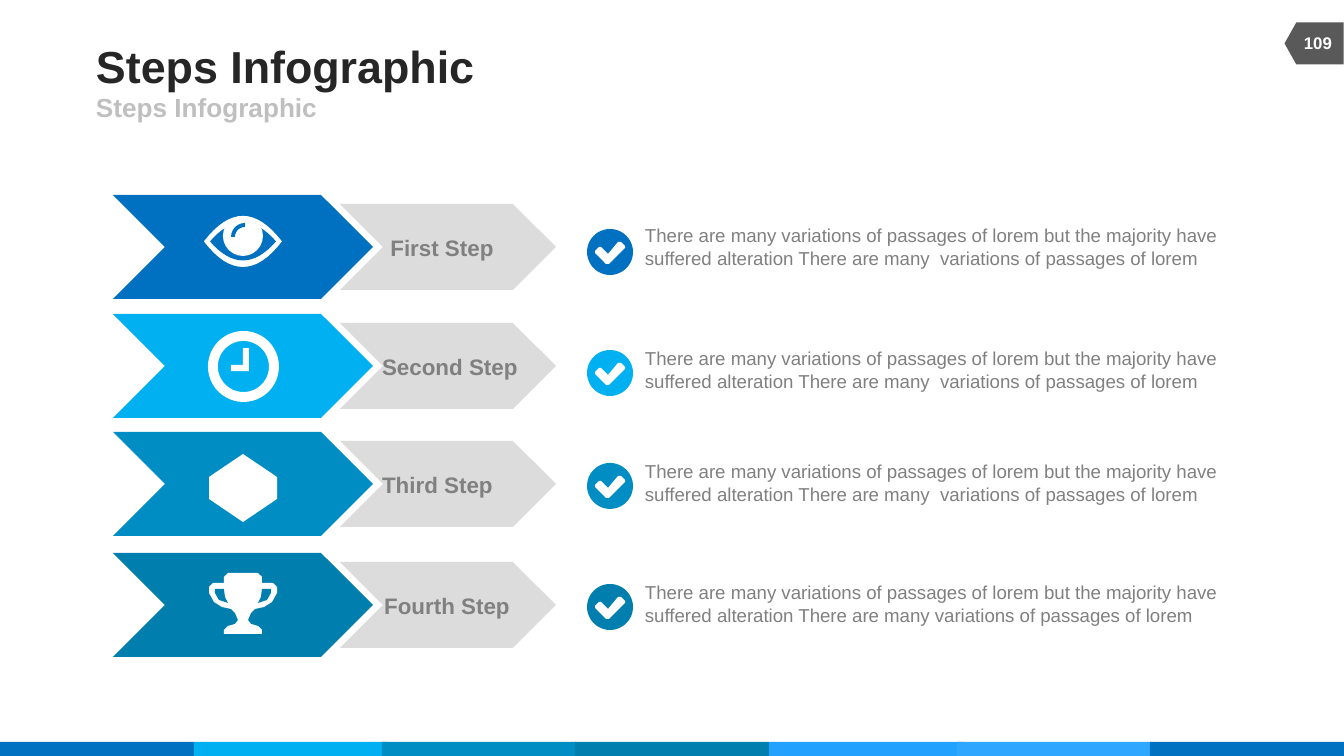
"""Build the Steps Infographic slide."""
from lxml import etree
from pptx import Presentation
from pptx.dml.color import RGBColor
from pptx.enum.shapes import MSO_SHAPE
from pptx.enum.text import MSO_ANCHOR, PP_ALIGN
from pptx.oxml.ns import qn
from pptx.util import Pt

PX = 914400 / 134.4
RECT, OVAL, DONUT = MSO_SHAPE.RECTANGLE, MSO_SHAPE.OVAL, MSO_SHAPE.DONUT
CHEVRON, ARC = MSO_SHAPE.CHEVRON, MSO_SHAPE.BLOCK_ARC
TAG = MSO_SHAPE.FLOWCHART_OFFPAGE_CONNECTOR
TOP, MIDDLE = MSO_ANCHOR.TOP, MSO_ANCHOR.MIDDLE
LEFT, CENTER = PP_ALIGN.LEFT, PP_ALIGN.CENTER

BLUE = RGBColor(0x00, 0x70, 0xC0)
SKY = RGBColor(0x00, 0xB0, 0xF0)
TEAL = RGBColor(0x00, 0x8D, 0xC3)
DEEP = RGBColor(0x00, 0x7E, 0xAE)
AZURE = RGBColor(0x23, 0xA1, 0xFF)
LIGHT = RGBColor(0x2F, 0xA6, 0xFF)
WHITE = RGBColor(0xFF, 0xFF, 0xFF)
BLACK = RGBColor(0x26, 0x26, 0x26)
DARK = RGBColor(0x59, 0x59, 0x59)
GRAY = RGBColor(0x80, 0x80, 0x80)
SILVER = RGBColor(0xBF, 0xBF, 0xBF)
PALE = RGBColor(0xD9, 0xD9, 0xD9)

TITLE = "Steps Infographic"
PAGE = "109"
START = "There are many variations of passages of lorem but the majority have suffered alteration "
WIDE = START + "There are many  variations of passages of lorem"
PLAIN = START + "There are many variations of passages of lorem"

# label, colour, arrow top, label left, label width, check top, text top, text
STEPS = [
    ("First Step", BLUE, 195, 390, 104, 229, 224, WIDE),
    ("Second Step", SKY, 314, 382, 136, 350, 347, WIDE),
    ("Third Step", TEAL, 432, 382, 111, 463, 460, WIDE),
    ("Fourth Step", DEEP, 553, 384, 126, 584, 581, PLAIN),
]
BARS = [(0, BLUE), (194, SKY), (382, TEAL), (575, DEEP),
        (769, AZURE), (957, LIGHT), (1150, BLUE)]
CHECK = [(8, 22), (12, 18), (14, 18), (21, 25), (31, 13), (34, 13),
         (38, 17), (38, 19), (22, 35), (19, 35), (8, 24)]
HAND = [(243, 348), (249, 348), (249, 371), (231, 371), (231, 365), (243, 365)]
HEX = [(243, 454), (277, 477), (277, 499), (243, 522), (209, 499), (209, 477)]
CUP = [(243, 573), (258, 573), (262, 577), (262, 583), (273, 583), (277, 587),
       (277, 593), (272, 602), (264, 607), (255, 609), (251, 613), (248, 620),
       (251, 624), (258, 626), (262, 630), (262, 634), (243, 634)]
GRIP = [(262, 589), (271, 589), (271, 593), (267, 600), (258, 603), (261, 597)]

deck = Presentation()
deck.slide_width, deck.slide_height = round(1344 * PX), round(756 * PX)
slide = deck.slides.add_slide(deck.slide_layouts[6])


def scale(*vals):
    return [round(val * PX) for val in vals]


def paint(shape, color):
    shape.shadow.inherit = False
    shape.fill.solid()
    shape.fill.fore_color.rgb = color
    shape.line.fill.background()
    return shape


def draw(kind, box, color, *adjust):
    shape = slide.shapes.add_shape(kind, *scale(*box))
    for i, val in enumerate(adjust):
        shape.adjustments[i] = val
    return paint(shape, color)


def trace(points, color):
    dots = [scale(*dot) for dot in points]
    path = slide.shapes.build_freeform(*dots[0], scale=1.0)
    path.add_line_segments(dots[1:], close=True)
    return paint(path.convert_to_shape(), color)


def write(text, box, size, color, bold=True, align=LEFT, anchor=MIDDLE, wrap=False):
    frame = slide.shapes.add_textbox(*scale(*box)).text_frame
    frame.margin_left = frame.margin_right = frame.margin_top = frame.margin_bottom = 0
    frame.word_wrap, frame.vertical_anchor = wrap, anchor
    para = frame.paragraphs[0]
    para.alignment = align
    run = para.add_run()
    run.text = text
    font = run.font
    font.name, font.size, font.bold = "Arial", Pt(size), bold
    font.color.rgb = color


def flip(points):
    return [(486 - x, y) for x, y in points]


def lens(wide, high):
    steps = [i / 8 for i in range(-8, 9)]
    upper = [(243 + wide * t, 241.5 - high * (1 - t * t)) for t in steps]
    return upper + [(x, 483 - y) for x, y in upper[-2:0:-1]]


for left, color in BARS:
    draw(RECT, (left, 742, 194, 14), color)
draw(TAG, (1293, 14, 42, 59), DARK).rotation = 90
write(PAGE, (1290, 23, 56, 40), 9, WHITE, align=CENTER)
write(TITLE, (96, 39, 829, 53), 24, BLACK)
write(TITLE, (96, 92, 605, 30), 14, SILVER)

for label, color, top, left, width, tick, head, text in STEPS:
    draw(CHEVRON, (113, top, 260, 104), color, 0.5)
    pale = draw(CHEVRON, (340, top + 9, 216, 86), PALE, 0.5)
    tint = pale.fill._xPr.find(".//" + qn("a:srgbClr"))
    etree.SubElement(tint, qn("a:alpha"), val="90000")
    write(label, (left, top + 39, width, 27), 12, GRAY, align=CENTER)
    draw(OVAL, (587, tick, 46, 46), color)
    trace([(587 + x, tick + y) for x, y in CHECK], WHITE)
    write(text, (645, head, 594, 46), 10, GRAY, bold=False, anchor=TOP, wrap=True)

trace(lens(39, 25.5), WHITE)
trace(lens(33, 19), BLUE)
draw(OVAL, (223, 216, 40, 40), WHITE)
draw(ARC, (231, 223, 28, 28), BLUE, 108, 162, 0.14)
draw(DONUT, (208, 331, 71, 71), WHITE, 0.14)
trace(HAND, WHITE)
trace(HEX, WHITE)
trace(CUP + flip(CUP[-2:0:-1]), WHITE)
for grip in (GRIP, flip(GRIP)):
    trace(grip, DEEP)

deck.save("out.pptx")
